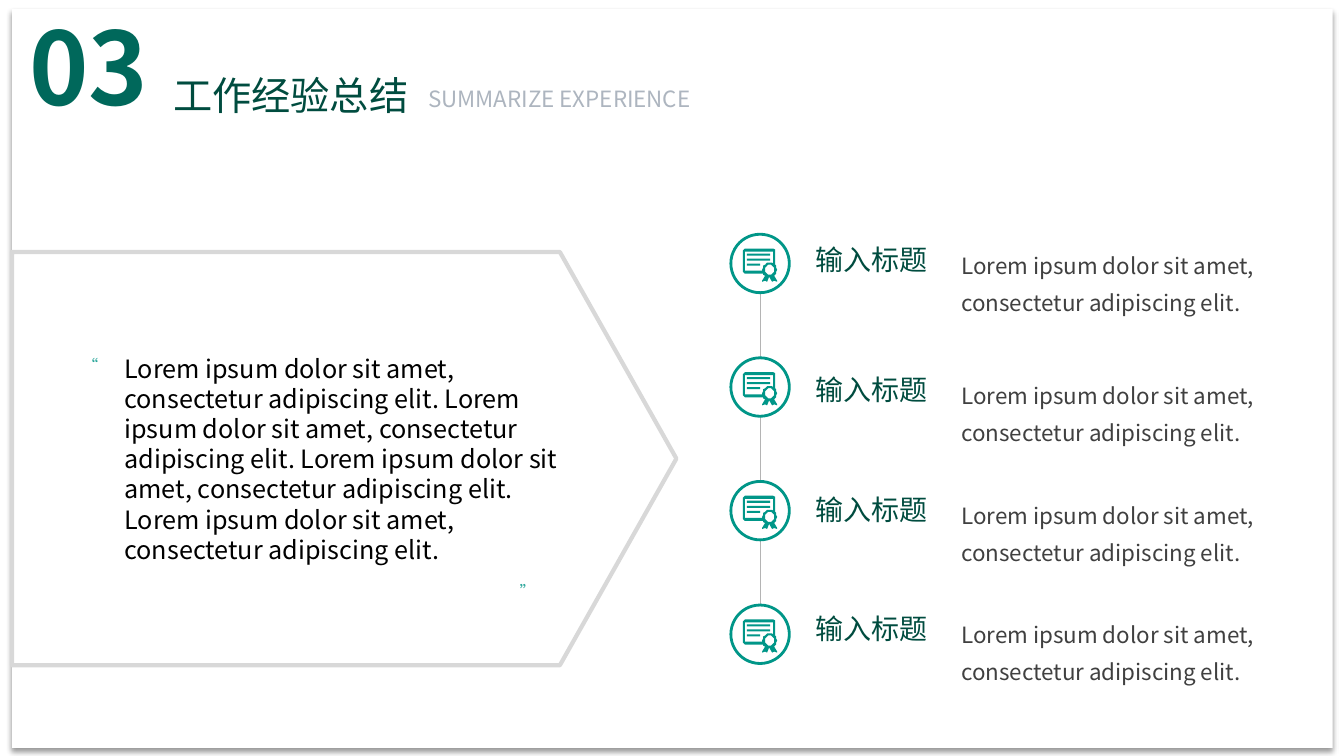
import math
from lxml import etree
from pptx import Presentation
from pptx import util as u
from pptx.dml.color import RGBColor
from pptx.enum import shapes, text
from pptx.oxml import ns

FONT = "Noto Sans CJK SC"
WIDE, HIGH = u.Inches(13.333), u.Inches(7.5)
TEAL, DARK = "009688", "004C3F"
LOREM = "Lorem ipsum dolor sit amet, consectetur adipiscing elit."
KIND = shapes.MSO_SHAPE

BADGE = [(2, 0), (30, 0), (32, 1), (32, 16), (33, 17), (33, 19), (34, 21),
         (33, 23), (33, 25), (32, 26), (31, 27), (34, 32), (34, 33), (31, 32),
         (29, 33), (26, 28), (24, 33), (22, 32), (19, 33), (19, 32), (22, 27),
         (20, 26), (20, 25), (2, 25), (0, 23), (0, 2)]
PANE = [(2, 3), (2, 22), (19, 22), (19, 21), (20, 19), (20, 17), (22, 16),
        (24, 14), (26, 14), (29, 14), (30, 15), (30, 3)]
BARS = [[(4, y), (x, y), (x, y + 2.4), (4, y + 2.4)]
        for x, y in ((27, 5), (27, 10), (17, 15))]
SEAL = [(26.5 + 4.9 * math.cos(a * math.pi / 12),
         21 + 4.9 * math.sin(a * math.pi / 12)) for a in range(24)]


def place(x, y, w, h):
    return [round(v * size / 100) for v, size in
            ((x, WIDE), (y, HIGH), (w, WIDE), (h, HIGH))]


def tint(code):
    return RGBColor.from_string(code)


def apply(item, form):
    for name, value in form.items():
        setattr(item, name, value)


def paint(shape, fill=None, line=None, width=1):
    shape.shadow.inherit = False
    if fill:
        shape.fill.solid()
        shape.fill.fore_color.rgb = tint(fill)
    else:
        shape.fill.background()
    if line:
        shape.line.color.rgb = tint(line)
        shape.line.width = u.Pt(width)
    else:
        shape.line.fill.background()


def shape(slide, kind, box, **look):
    item = slide.shapes.add_shape(kind, *place(*box))
    paint(item, **look)
    return item


def sheet(slide):
    item = shape(slide, KIND.RECTANGLE, (0.9, 1.2, 98.25, 97.73), fill="FFFFFF")
    list_ = item.element.spPr.find(ns.qn("a:effectLst"))
    cast = etree.SubElement(list_, ns.qn("a:outerShdw"), blurRad=str(u.Pt(4)),
                            dist=str(u.Pt(3)), dir="5400000", algn="t",
                            rotWithShape="0")
    hue = etree.SubElement(cast, ns.qn("a:srgbClr"), val="000000")
    etree.SubElement(hue, ns.qn("a:alpha"), val="40000")
    slide.shapes.title.element.addprevious(item.element)


def write(item, words, size, color, bold=False, lead=None,
          anchor=text.MSO_ANCHOR.TOP):
    frame = item.text_frame
    apply(frame, {"word_wrap": True, "vertical_anchor": anchor,
                  "auto_size": text.MSO_AUTO_SIZE.NONE})
    para = frame.paragraphs[0]
    apply(para, {"alignment": text.PP_ALIGN.LEFT,
                 "line_spacing": u.Pt(lead) if lead else None})
    run = para.add_run()
    run.text = words
    apply(run.font, {"name": FONT, "size": u.Pt(size), "bold": bold})
    run.font.color.rgb = tint(color)
    etree.SubElement(run.font._element, ns.qn("a:ea"), typeface=FONT)


def label(slide, box, words, size, color, **form):
    item = slide.shapes.add_textbox(*place(*box))
    write(item, words, size, color, **form)
    return item


def title(slide, box, words, size, color):
    item = slide.shapes.title
    apply(item, dict(zip(("left", "top", "width", "height"), place(*box))))
    write(item, words, size, color)


def stem(slide, x, top, end):
    left, start, _, stop = place(x, top, 0, end)
    item = slide.shapes.add_connector(shapes.MSO_CONNECTOR.STRAIGHT,
                                      left, start, left, stop)
    item.line.color.rgb = tint("B4B4B4")
    item.line.width = u.Pt(0.25)
    etree.SubElement(item.element.spPr, ns.qn("a:effectLst"))


def icon(slide, x, y):
    left, top, _, _ = place(x, y, 0, 0)
    pen = slide.shapes.build_freeform(*BADGE[0], scale=u.Inches(0.01))
    pen.add_line_segments(BADGE[1:])
    for ring in (PANE, *BARS, SEAL):
        pen.move_to(*ring[0])
        pen.add_line_segments(ring[1:])
    paint(pen.convert_to_shape(left, top), fill=TEAL)


def header(slide):
    label(slide, (1.45, 0, 12.08, 17.47), "03", 72, "00685B", bold=True)
    title(slide, (12.15, 8.8, 19.2, 7.6), "工作经验总结", 28, DARK)
    label(slide, (31.13, 10.6, 25.2, 4.93), "SUMMARIZE EXPERIENCE", 16, "ADB5BF")


def quote(slide):
    arrow = shape(slide, KIND.PENTAGON, (0.9, 33.33, 49.43, 54.67),
                  line="D8D8D8", width=3)
    arrow.adjustments[0] = 0.282
    for x, y, turn in ((5.4, 46.4, 0), (38.25, 75.47, 180)):
        label(slide, (x, y, 2.33, 3.33), "“", 11.2, "26A599").rotation = turn
    label(slide, (8.52, 45.87, 34.28, 29.6), " ".join([LOREM] * 4), 18, "000000",
          anchor=text.MSO_ANCHOR.MIDDLE)


def steps(slide):
    stem(slide, 56.55, 38.8, 80)
    for row, y in enumerate((31.47, 48.67, 64.53, 80.27)):
        top = 30.98 + 16.35 * row
        shape(slide, KIND.OVAL, (54.38, top, 4.35, 7.73),
              fill="FFFFFF", line=TEAL, width=2)
        icon(slide, 55.28, top + 1.9)
        label(slide, (59.93, y, 16.8, 5.87), "输入标题", 20, DARK)
        label(slide, (70.8, y, 27.53, 10.67), LOREM, 16, "404040", lead=26)


def main():
    deck = Presentation()
    apply(deck, {"slide_width": WIDE, "slide_height": HIGH})
    slide = deck.slides.add_slide(deck.slide_layouts[5])
    sheet(slide)
    quote(slide)
    steps(slide)
    header(slide)
    deck.save("out.pptx")


if __name__ == "__main__":
    main()
